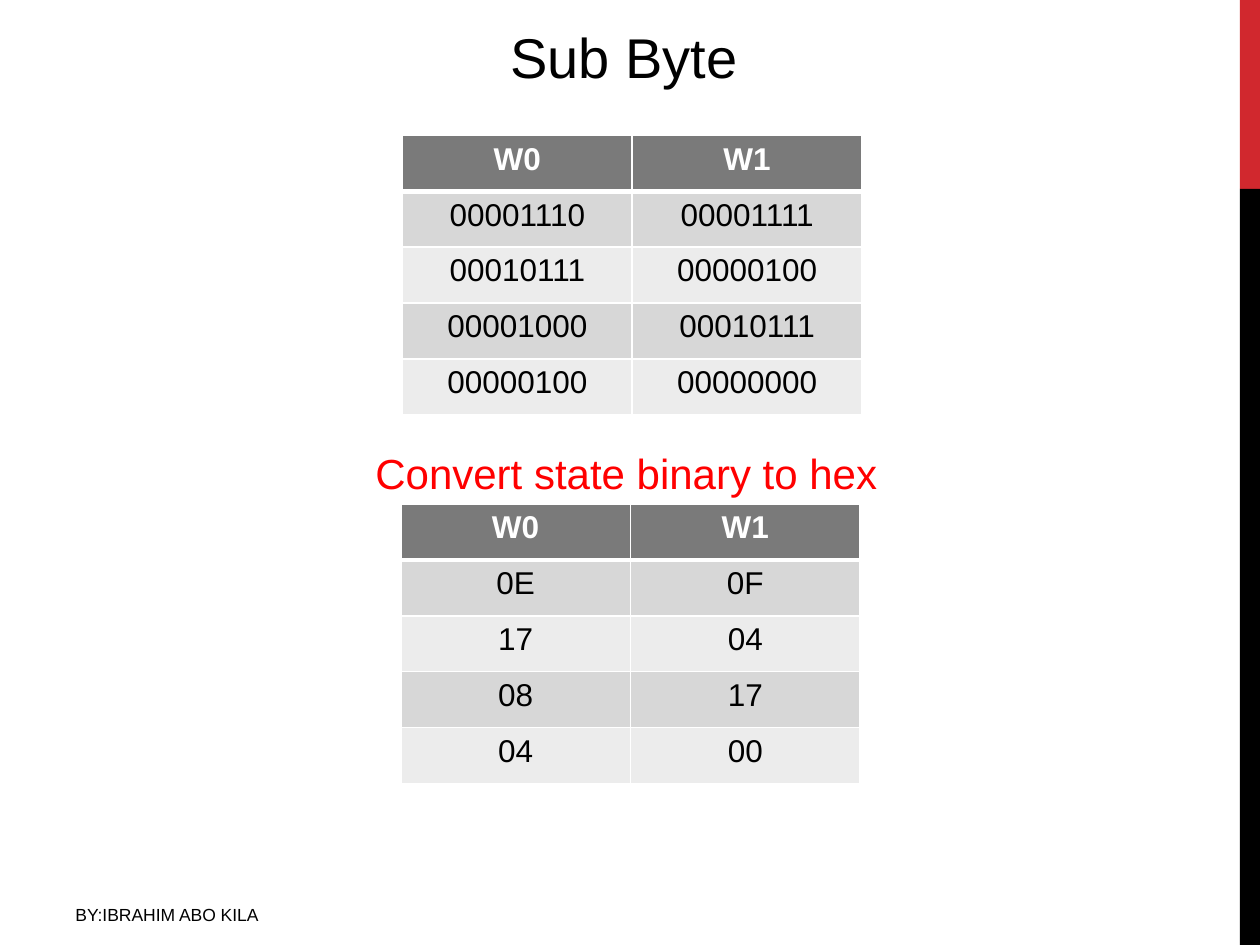
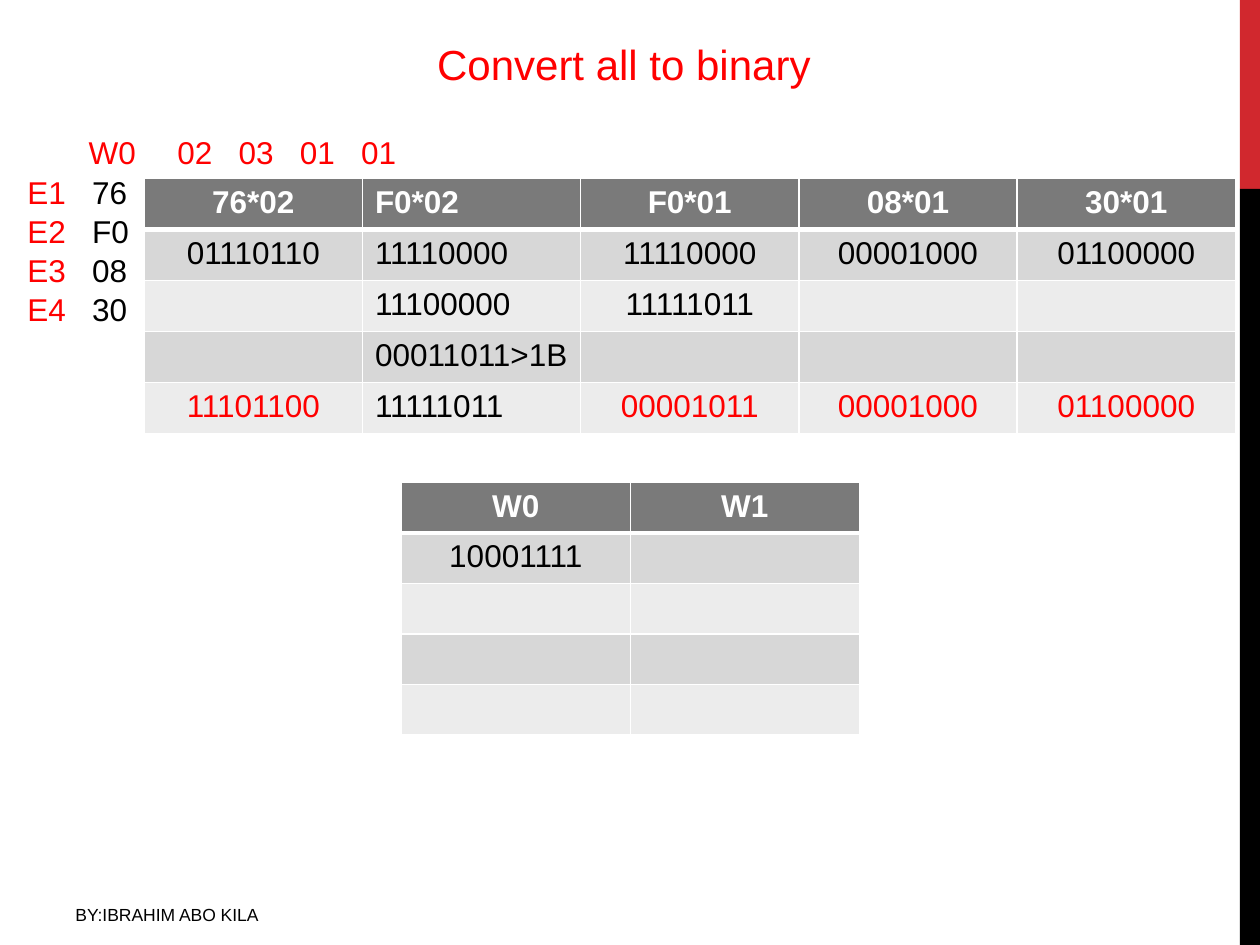
from dataclasses import dataclass

from lxml import etree
from pptx import Presentation
from pptx.dml import color as dml
from pptx.enum import shapes, text
from pptx.oxml import ns
from pptx.util import Pt

FONT = "Arial"
COLORS = {
    "white": "FFFFFF",
    "black": "000000",
    "red": "FF0000",
    "band_red": "D1282E",
    "header": "7A7A7A",
    "dark_row": "D7D7D7",
    "light_row": "ECECEC",
}
LEFT, CENTER = text.PP_ALIGN.LEFT, text.PP_ALIGN.CENTER
TOP, MIDDLE = text.MSO_ANCHOR.TOP, text.MSO_ANCHOR.MIDDLE


@dataclass(frozen=True)
class Band:
    top: float
    height: float
    color: str


@dataclass(frozen=True)
class Line:
    """One paragraph: (text, colour) runs laid out on tab stops."""
    runs: tuple[tuple[str, str], ...]
    tabs: tuple[float, ...] = ()


@dataclass(frozen=True)
class Label:
    left: float
    top: float
    width: float
    height: float
    size: float
    lines: tuple[Line, ...]
    align: text.PP_ALIGN = LEFT
    anchor: text.MSO_ANCHOR = TOP
    gap: float = 0


@dataclass(frozen=True)
class Grid:
    left: float
    top: float
    column_width: float
    row_height: float
    rows: tuple[tuple[str, ...], ...]
    left_columns: tuple[int, ...] = ()
    red_cells: tuple[tuple[int, int], ...] = ()


def rgb(name: str) -> dml.RGBColor:
    return dml.RGBColor.from_string(COLORS[name])


def style_font(font, size: float, color: str | None = None, bold: bool = False) -> None:
    font.name, font.size, font.bold = FONT, Pt(size), bold
    if color:
        font.color.rgb = rgb(color)


def add_band(slide, band: Band) -> None:
    shape = slide.shapes.add_shape(
        shapes.MSO_SHAPE.RECTANGLE, Pt(708.5), Pt(band.top), Pt(11.5), Pt(band.height))
    shape.shadow.inherit = False
    shape.fill.solid()
    shape.fill.fore_color.rgb = rgb(band.color)
    shape.line.fill.background()


def add_tab_stops(paragraph, stops: tuple[float, ...]) -> None:
    properties = paragraph._p.get_or_add_pPr()
    tab_list = etree.Element(ns.qn("a:tabLst"))
    for stop in stops:
        etree.SubElement(tab_list, ns.qn("a:tab"), pos=str(Pt(stop)), algn="l")
    properties.find(ns.qn("a:defRPr")).addprevious(tab_list)


def add_label(slide, label: Label) -> None:
    box = slide.shapes.add_textbox(
        Pt(label.left), Pt(label.top), Pt(label.width), Pt(label.height))
    frame = box.text_frame
    frame.word_wrap = True
    frame.vertical_anchor = label.anchor
    for index, line in enumerate(label.lines):
        paragraph = frame.add_paragraph() if index else frame.paragraphs[0]
        paragraph.alignment = label.align
        paragraph.space_after = Pt(label.gap)
        colors = {color for _, color in line.runs}
        shared = colors.pop() if len(colors) == 1 else None
        style_font(paragraph.font, label.size, shared)
        for words, color in line.runs:
            run = paragraph.add_run()
            run.text = words
            if not shared:
                run.font.color.rgb = rgb(color)
        if line.tabs:
            add_tab_stops(paragraph, line.tabs)


def set_borders(cell, row: int) -> None:
    """White borders, thicker between the header and the body."""
    widths = {"L": 1, "R": 1, "T": 3 if row == 1 else 1, "B": 3 if row == 0 else 1}
    properties = cell._tc.get_or_add_tcPr()
    for side, width in widths.items():
        border = etree.SubElement(properties, ns.qn(f"a:ln{side}"), w=str(Pt(width)))
        fill = etree.SubElement(border, ns.qn("a:solidFill"))
        etree.SubElement(fill, ns.qn("a:srgbClr"), val=COLORS["white"])


def add_grid(slide, grid: Grid) -> None:
    row_count, column_count = len(grid.rows), len(grid.rows[0])
    table = slide.shapes.add_table(
        row_count, column_count, Pt(grid.left), Pt(grid.top),
        Pt(grid.column_width * column_count), Pt(grid.row_height * row_count)).table
    table.horz_banding = False
    for column in table.columns:
        column.width = Pt(grid.column_width)
    for row, values in enumerate(grid.rows):
        table.rows[row].height = Pt(grid.row_height)
        fill = "header" if row == 0 else ("light_row", "dark_row")[row % 2]
        for column, value in enumerate(values):
            cell = table.cell(row, column)
            set_borders(cell, row)
            cell.fill.solid()
            cell.fill.fore_color.rgb = rgb(fill)
            cell.text = value
            paragraph = cell.text_frame.paragraphs[0]
            paragraph.alignment = LEFT if column in grid.left_columns else CENTER
            color = "red" if (row, column) in grid.red_cells else "black"
            style_font(paragraph.font, 18, color if row else "white", row == 0)


def heading(words: str, left: float, top: float, width: float, height: float,
            size: float = 24, color: str = "red") -> Label:
    return Label(left, top, width, height, size, (Line(((words, color),)),), CENTER)


# Parts on every slide
BANDS = (Band(0, 108, "band_red"), Band(108, 432, "black"))
FOOTER = Label(36, 511.2, 270, 22.3, 10,
               (Line((("BY:IBRAHIM ABO KILA", "black"),)),), anchor=MIDDLE)

# Slide 1: state in binary, then in hex
STATE_LABELS = (
    heading("Sub Byte", 252, 9.4, 209.5, 46, 32, "black"),
    heading("Convert state binary to hex", 202, 252, 311.8, 36),
)
STATE_GRIDS = (
    Grid(230, 77.3, 131.3, 31.95, (
        ("W0", "W1"),
        ("00001110", "00001111"),
        ("00010111", "00000100"),
        ("00001000", "00010111"),
        ("00000100", "00000000"),
    )),
    Grid(229, 288, 131.3, 31.95, (
        ("W0", "W1"),
        ("0E", "0F"),
        ("17", "04"),
        ("08", "17"),
        ("04", "00"),
    )),
)

# Slide 2: products of the column W0 in binary
COLUMN_W0 = ("76", "F0", "08", "30")
PRODUCT_LABELS = (
    Label(8.6, 72.7, 334, 160, 18, (
        Line((("\tW0", "red"),), (35,)),
        *(Line(((f"E{number}\t", "red"), (value, "black")), (37,))
          for number, value in enumerate(COLUMN_W0, 1)),
    ), gap=0.8),
    Label(94.3, 72.7, 266.4, 29, 18,
          (Line((("02\t03\t01\t01", "red"),), (35, 70, 105)),)),
    heading("Convert all to binary", 178, 18.7, 357, 36),
)
PRODUCT_GRIDS = (
    Grid(82.4, 101.8, 124.7, 29.2, (
        ("76*02", "F0*02", "F0*01", "08*01", "30*01"),
        ("01110110", "11110000", "11110000", "00001000", "01100000"),
        ("", "11100000", "11111011", "", ""),
        ("", "00011011>1B", "", "", ""),
        ("11101100", "11111011", "00001011", "00001000", "01100000"),
    ), left_columns=(1,), red_cells=((4, 0), (4, 2), (4, 3), (4, 4))),
    Grid(229.3, 275.8, 130.9, 28.75, (
        ("W0", "W1"),
        ("10001111", ""),
        *[("", "")] * 3,
    )),
)


def main() -> None:
    presentation = Presentation()
    presentation.slide_width, presentation.slide_height = Pt(720), Pt(540)
    for labels, grids in ((STATE_LABELS, STATE_GRIDS), (PRODUCT_LABELS, PRODUCT_GRIDS)):
        slide = presentation.slides.add_slide(presentation.slide_layouts[6])
        for band in BANDS:
            add_band(slide, band)
        for label in (FOOTER, *labels):
            add_label(slide, label)
        for grid in grids:
            add_grid(slide, grid)
    presentation.save("out.pptx")


if __name__ == "__main__":
    main()
